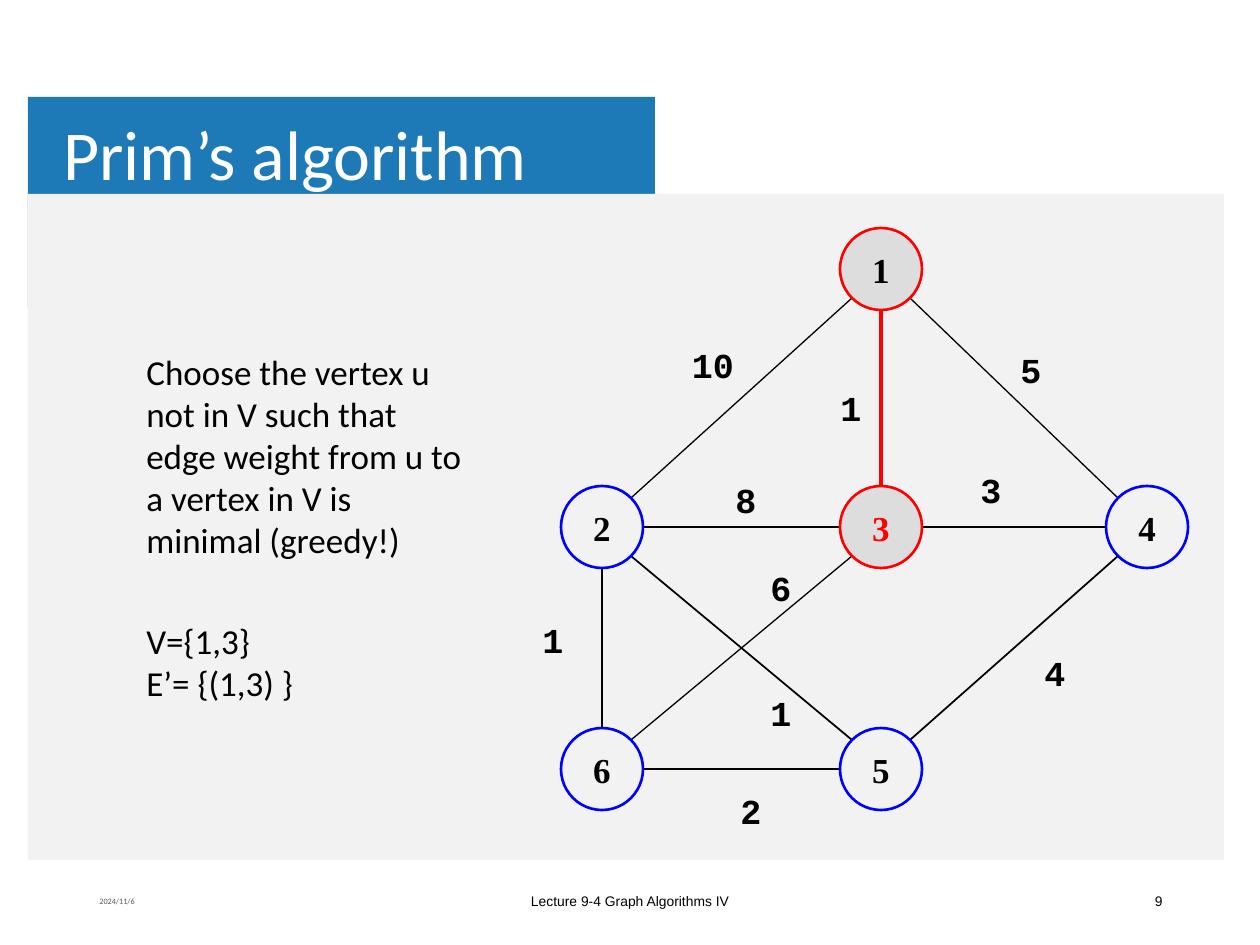
"""Build the Prim's algorithm slide: a weighted graph beside the greedy rule."""
from dataclasses import dataclass
from math import sqrt

from lxml.etree import SubElement
from pptx import Presentation
from pptx.dml.color import RGBColor as RGB
from pptx.enum.shapes import MSO_CONNECTOR as CONN, MSO_SHAPE as SHAPE
from pptx.enum.text import MSO_ANCHOR as ANCHOR, MSO_AUTO_SIZE as FIT, PP_ALIGN as ALIGN
from pptx.oxml.ns import qn
from pptx.util import Emu, Pt


@dataclass(frozen=True)
class Theme:
    banner: str = "1E7AB6"
    panel: str = "F2F2F2"
    visited: str = "DDDDDD"
    chosen: str = "FF0000"
    node: str = "0000FF"
    ink: str = "000000"
    white: str = "FFFFFF"
    muted: str = "595959"
    title: float = 40
    body: float = 20
    footer: float = 7.9
    date: float = 4.7
    sans: str = "Calibri"
    plain: str = "Arial"
    serif: str = "Times New Roman"
    mono: str = "Courier New"


def px(n):
    return Emu(round(n * 914400 / 126))


class Deck:
    def __init__(self, theme):
        self.t = theme
        self.prs = Presentation()
        self.prs.slide_width, self.prs.slide_height = px(1260), px(945)
        self.s = self.prs.slides.add_slide(self.prs.slide_layouts[5])

    def fill_text(self, sp, paras, size, face, color, bold=False, align=ALIGN.LEFT,
                  para=None, **frame):
        tf = sp.text_frame
        frame = {"word_wrap": True, "auto_size": FIT.NONE,
                 "vertical_anchor": ANCHOR.MIDDLE, **frame}
        for key, value in frame.items():
            setattr(tf, key, value)
        for i, (text, before) in enumerate(paras):
            p = tf.add_paragraph() if i else tf.paragraphs[0]
            formats = {"alignment": align, "space_before": Pt(before), **(para or {})}
            for key, value in formats.items():
                setattr(p, key, value)
            r = p.add_run()
            r.text = text
            for key, value in {"size": Pt(size), "name": face, "bold": bold}.items():
                setattr(r.font, key, value)
            r.font.color.rgb = RGB.from_string(color)

    def title(self, box, text):
        sp = self.s.shapes.title
        for key, value in zip(("left", "top", "width", "height"), box):
            setattr(sp, key, px(value))
        sp.element.getparent().append(sp.element)
        insets = dict(margin_left=px(9), margin_right=px(9), margin_top=px(5), margin_bottom=px(5))
        self.fill_text(sp, [(text, 0)], self.t.title, self.t.sans, self.t.white,
                       para={"line_spacing": 0.9}, **insets)

    def text(self, box, paras, size, face, color, **formats):
        sp = self.s.shapes.add_textbox(*map(px, box))
        self.fill_text(sp, paras, size, face, color, **formats)

    def shape(self, kind, box, fill=None, line=None):
        sp = self.s.shapes.add_shape(kind, *map(px, box))
        sp.shadow.inherit = False
        if fill:
            sp.fill.solid()
            sp.fill.fore_color.rgb = RGB.from_string(fill)
        else:
            sp.fill.background()
        if line:
            sp.line.color.rgb = RGB.from_string(line)
            sp.line.width = Pt(1.5)
        else:
            sp.line.fill.background()
        return sp

    def node(self, center, label, fill, line, color):
        x, y = center
        sp = self.shape(SHAPE.OVAL, (x - RADIUS, y - RADIUS, 2 * RADIUS, 2 * RADIUS), fill, line)
        self.fill_text(sp, [(label, 0)], self.t.body, self.t.serif, color, bold=True,
                       align=ALIGN.CENTER, word_wrap=False)

    def edge(self, a, b, color, width):
        dx, dy = ((q > p) - (q < p) for p, q in zip(a, b))
        reach = RADIUS / sqrt(dx * dx + dy * dy)
        ends = (a[0] + dx * reach, a[1] + dy * reach, b[0] - dx * reach, b[1] - dy * reach)
        line = self.s.shapes.add_connector(CONN.STRAIGHT, *map(px, ends))
        line.line.color.rgb = RGB.from_string(color)
        line.line.width = Pt(width)
        SubElement(line.element.spPr, qn("a:effectLst"))

    def weight(self, center, label):
        x, y = center
        self.text((x - 45, y - 28, 90, 56), [(label, 0)], self.t.body, self.t.mono,
                  self.t.ink, bold=True, align=ALIGN.CENTER)


RADIUS = 41
LEFT, MID, RIGHT = 602, 881, 1147
TOP, CENTER, BOTTOM = 269, 527, 769
NODES = {"1": (MID, TOP), "2": (LEFT, CENTER), "3": (MID, CENTER),
         "4": (RIGHT, CENTER), "5": (MID, BOTTOM), "6": (LEFT, BOTTOM)}
VISITED = {"1", "3"}
EDGES = [("1", "2", "10", (713, 364), 0.75), ("1", "3", "1", (851, 407), 2.25),
         ("1", "4", "5", (1031, 369), 0.75), ("2", "3", "8", (746, 499), 0.75),
         ("3", "4", "3", (991, 489), 1), ("2", "5", "1", (781, 712), 1),
         ("3", "6", "6", (781, 587), 0.75), ("2", "6", "1", (553, 639), 1),
         ("4", "5", "4", (1055, 673), 1), ("5", "6", "2", (751, 810), 0.75)]


def main():
    t = Theme()
    deck = Deck(t)
    deck.shape(SHAPE.RECTANGLE, (28, 97, 627, 210), t.banner)
    deck.shape(SHAPE.RECTANGLE, (28, 194, 1196, 666), t.panel)
    deck.title((54, 96, 1012, 123), "Prim’s algorithm")
    rule = ("Choose the vertex u not in V such that edge weight from u "
            "to a vertex in V is minimal (greedy!)")
    deck.text((134, 344, 352, 373), [(rule, 0), ("V={1,3}", 34), ("E’= {(1,3) }", 0)],
              t.body, t.sans, t.ink, vertical_anchor=ANCHOR.TOP)
    for a, b, label, center, width in EDGES:
        color = t.chosen if {a, b} == VISITED else t.ink
        deck.edge(NODES[a], NODES[b], color, width)
        deck.weight(center, label)
    for label, center in NODES.items():
        fill, line = (t.visited, t.chosen) if label in VISITED else (None, t.node)
        deck.node(center, label, fill, line, t.chosen if label == "3" else t.ink)
    deck.text((87, 876, 284, 50), [("2024/11/6", 0)], t.date, t.sans, t.muted)
    deck.text((417, 876, 426, 50), [("Lecture 9-4 Graph Algorithms IV", 0)],
              t.footer, t.plain, t.ink, align=ALIGN.CENTER)
    deck.text((891, 876, 284, 50), [("9", 0)], t.footer, t.plain, t.ink, align=ALIGN.RIGHT)
    deck.prs.save("out.pptx")


if __name__ == "__main__":
    main()
